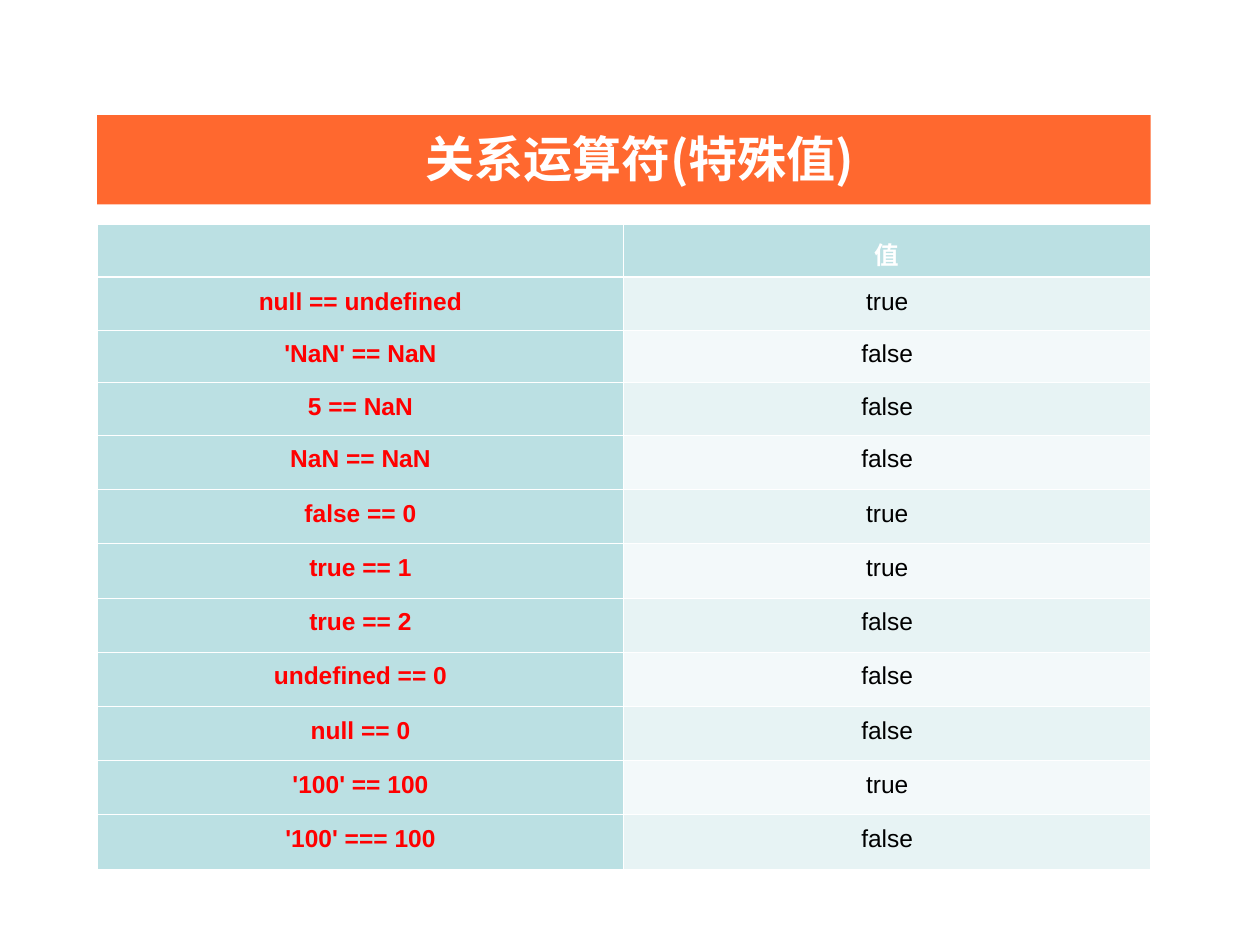
from dataclasses import dataclass

from lxml import etree
from pptx import Presentation
from pptx.dml.color import RGBColor
from pptx.enum.shapes import MSO_SHAPE
from pptx.enum.text import PP_ALIGN
from pptx.oxml.ns import qn
from pptx.util import Pt

RECT = MSO_SHAPE.RECTANGLE
CENTER = PP_ALIGN.CENTER


@dataclass(frozen=True)
class Theme:
    white: str = "FFFFFF"
    black: str = "000000"
    red: str = "FF0000"
    orange: str = "FF682F"
    teal: str = "BBE0E3"
    bands: tuple = ("E7F3F4", "F3F9FA")
    latin: str = "Arial"
    cjk: str = "Noto Sans CJK SC"
    title: int = 28
    body: int = 14
    thin: float = 0.45
    thick: float = 1.47


class Deck:
    def __init__(self, theme, width, height):
        self.theme = theme
        self.prs = Presentation()
        self.prs.slide_width, self.prs.slide_height = Pt(width), Pt(height)
        self.slide = self.prs.slides.add_slide(self.prs.slide_layouts[6])

    def bar(self, box, color):
        shape = self.slide.shapes.add_shape(RECT, *map(Pt, box))
        shape.shadow.inherit = False
        shape.fill.solid()
        shape.fill.fore_color.rgb = RGBColor.from_string(color)
        shape.line.fill.background()

    def label(self, frame, text, size, face, color, bold):
        para = frame.paragraphs[0]
        para.alignment = CENTER
        run = para.add_run()
        run.text = text
        font = run.font
        font.size, font.bold, font.name = Pt(size), bold, face
        font.color.rgb = RGBColor.from_string(color)
        east = etree.SubElement(run._r.get_or_add_rPr(), qn("a:ea"))
        east.set("typeface", self.theme.cjk)
        return para

    def title(self, box, text):
        frame = self.slide.shapes.add_textbox(*map(Pt, box)).text_frame
        frame.word_wrap = True
        look = self.theme
        self.label(frame, text, look.title, look.cjk, look.white, True)

    def edge(self, cell, side, width):
        line = etree.SubElement(cell._tc.get_or_add_tcPr(), qn("a:ln" + side))
        line.set("w", str(Pt(width)))
        fill = etree.SubElement(line, qn("a:solidFill"))
        etree.SubElement(fill, qn("a:srgbClr")).set("val", self.theme.white)

    def cell(self, cell, text, fill, color, bold, top, bottom):
        look = self.theme
        cell.margin_left = cell.margin_right = Pt(5.76)
        # Borders must precede the fill in the cell properties
        for side, width in zip("LRTB", (look.thin, look.thin, top, bottom)):
            self.edge(cell, side, width)
        cell.fill.solid()
        cell.fill.fore_color.rgb = RGBColor.from_string(fill)
        if text:
            para = self.label(cell.text_frame, text, look.body, look.latin,
                              color, bold)
            para.line_spacing = 1.15

    def table(self, left, top, width, heights, rows):
        look = self.theme
        count = len(rows[0])
        grid = self.slide.shapes.add_table(
            len(rows), count, Pt(left), Pt(top), Pt(width),
            Pt(sum(heights))).table
        grid.first_row = grid.horz_banding = False
        for col in grid.columns:
            col.width = Pt(width / count)
        for i, (row, high) in enumerate(zip(rows, heights)):
            grid.rows[i].height = Pt(high)
            over = look.thick if i == 1 else look.thin
            under = look.thick if i == 0 else look.thin
            for j, text in enumerate(row):
                if i == 0:
                    style = look.teal, look.white, True
                elif j == 0:
                    style = look.teal, look.red, True
                else:
                    style = look.bands[(i - 1) % 2], look.black, False
                self.cell(grid.cell(i, j), text, *style, over, under)


ROWS = [
    ("", "值"),
    ("null == undefined", "true"),
    ("'NaN' == NaN", "false"),
    ("5 == NaN", "false"),
    ("NaN == NaN", "false"),
    ("false == 0", "true"),
    ("true == 1", "true"),
    ("true == 2", "false"),
    ("undefined == 0", "false"),
    ("null == 0", "false"),
    ("'100' == 100", "true"),
    ("'100' === 100", "false"),
]


def main():
    theme = Theme()
    deck = Deck(theme, 720, 540)
    left, width = 55.5, 602
    deck.bar((left, 65.8, width, 51), theme.orange)
    deck.title((93.6, 69.8, 544.3, 41), "关系运算符(特殊值)")
    heights = [30.1] * 4 + [31] * 8
    deck.table(left, 128.4, width, heights, ROWS)
    deck.prs.save("out.pptx")


if __name__ == "__main__":
    main()
